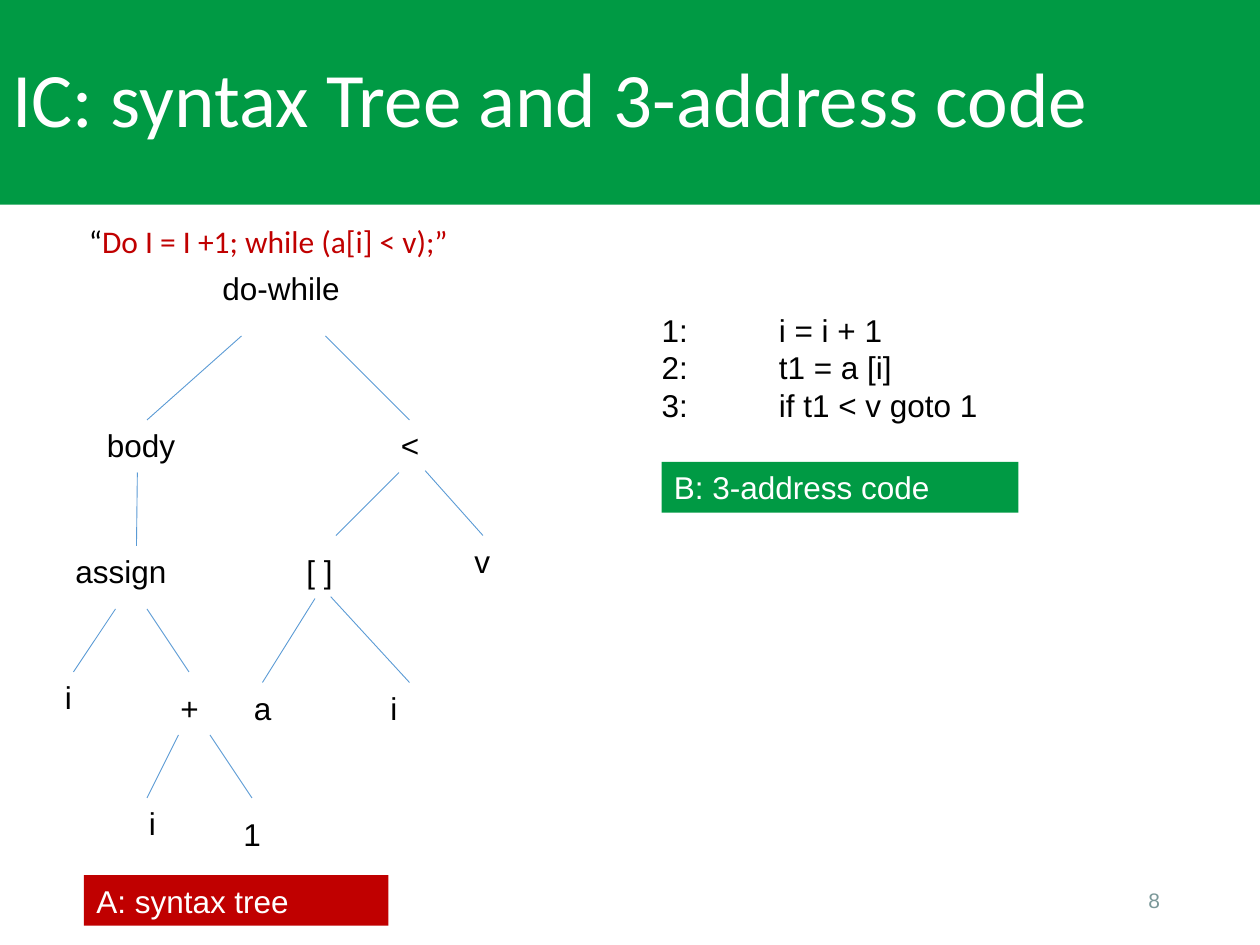
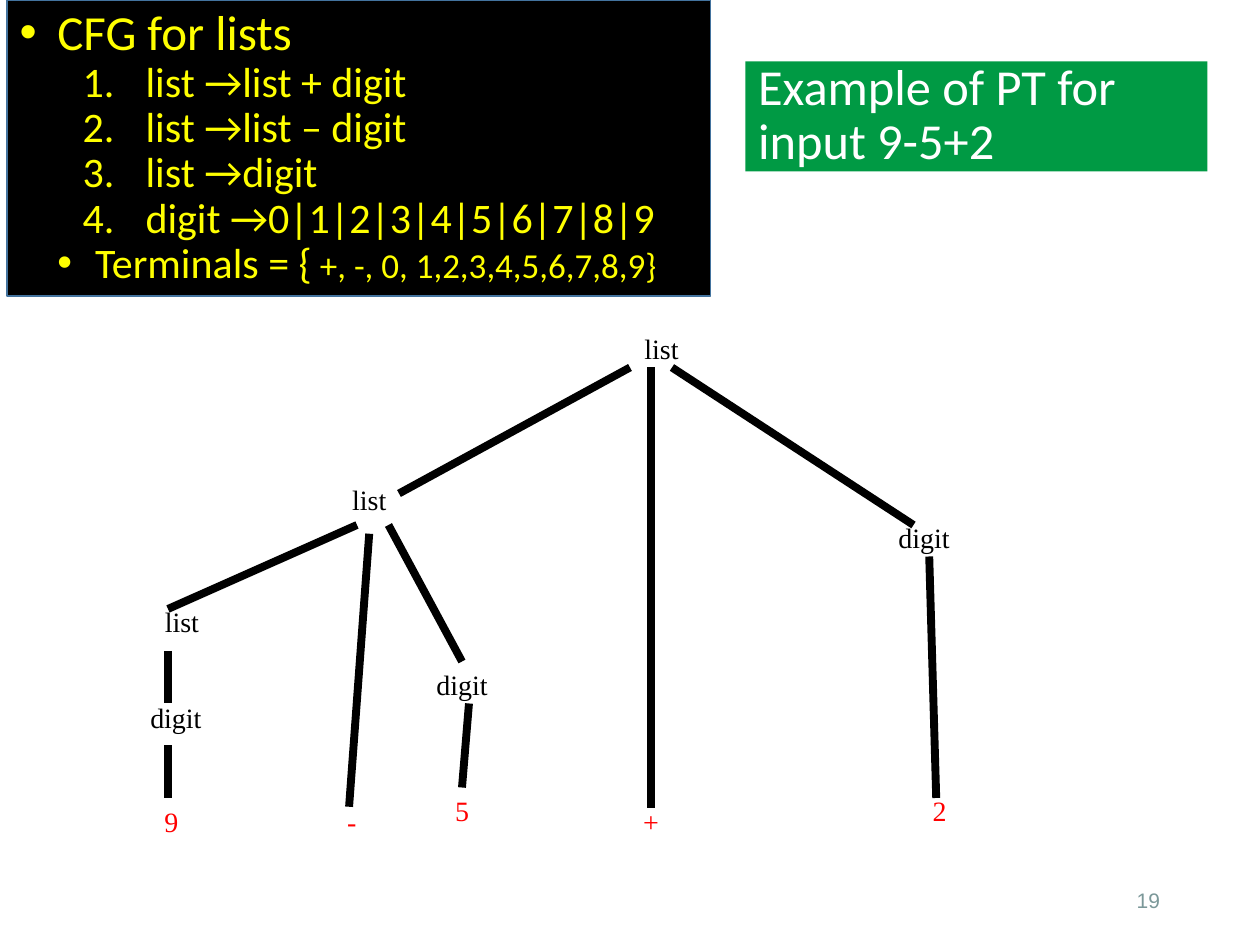
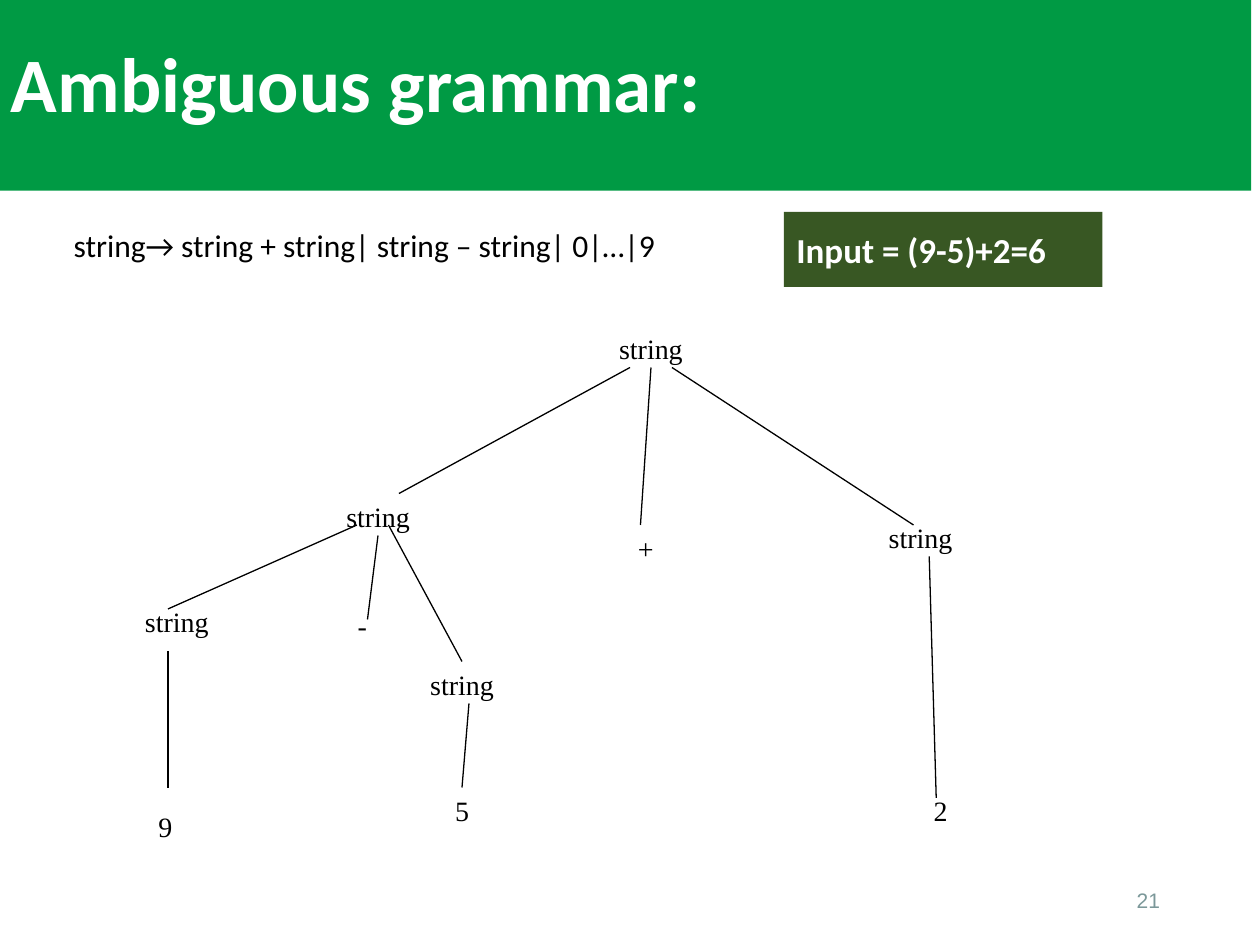
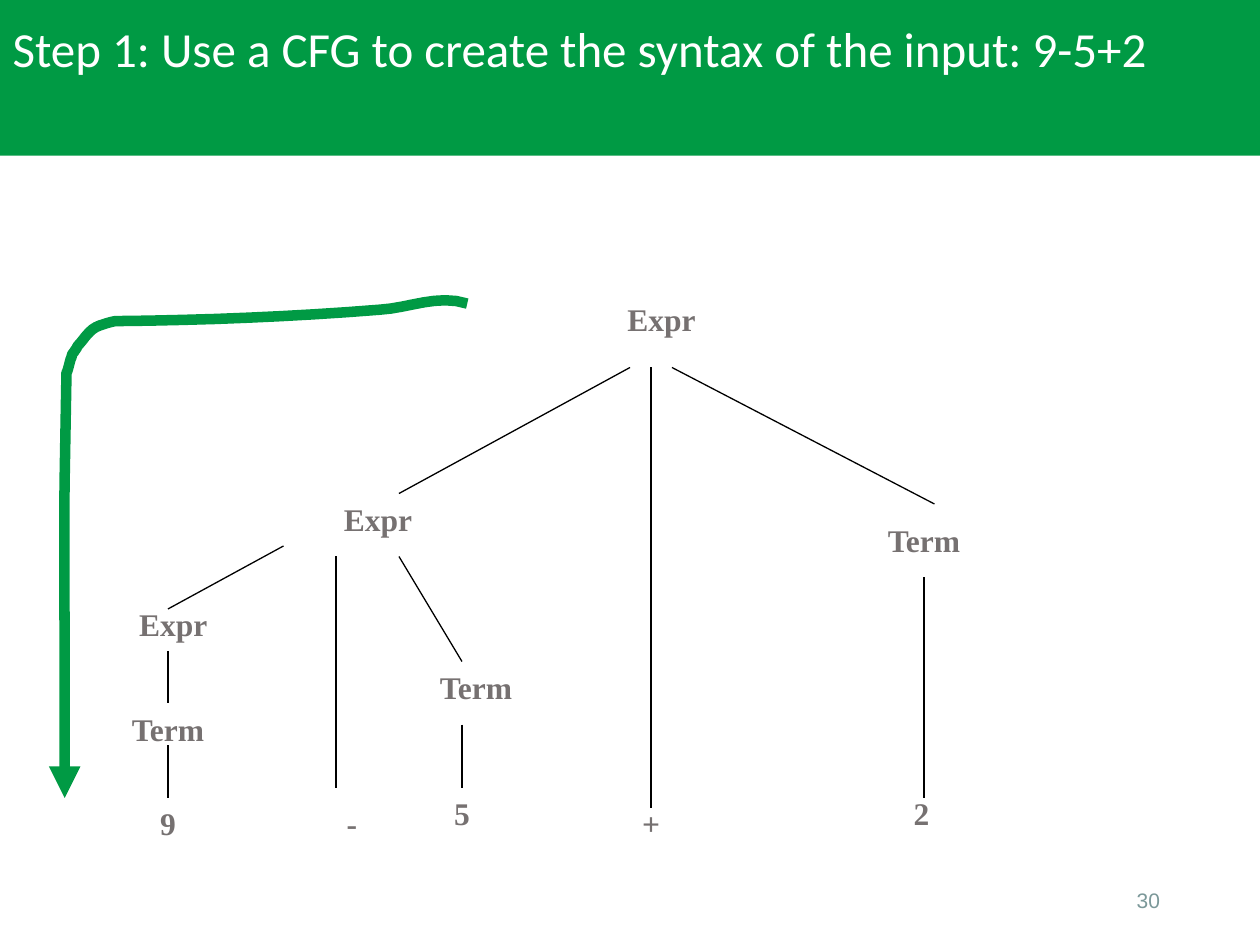
from lxml.etree import SubElement
from pptx import Presentation
from pptx.dml.color import RGBColor
from pptx.enum.shapes import MSO_CONNECTOR, MSO_SHAPE
from pptx.enum.text import MSO_ANCHOR, MSO_AUTO_SIZE, PP_ALIGN
from pptx.oxml.ns import qn
from pptx.util import Pt

# Shared look
GREEN, DARK_GREEN, RED, BRIGHT_RED = "009A44", "385723", "C00000", "FF0000"
BLACK, WHITE, YELLOW = "000000", "FFFFFF", "FFFF00"
BLUE, GREY, FOOTER_GREY = "5B9BD5", "767171", "7B9899"

TITLE = {"name": "Calibri", "size": Pt(44), "color": WHITE}
BODY = {"name": "Calibri", "size": Pt(18), "color": BLACK}
ARIAL = {"name": "Arial", "size": Pt(18), "color": BLACK}
LABEL = {**ARIAL, "color": WHITE}
FOOTER = {**ARIAL, "size": Pt(12), "color": FOOTER_GREY}
SERIF = {"name": "Times New Roman", "size": Pt(16), "color": BLACK}
TERMINAL = {**SERIF, "color": BRIGHT_RED}
SERIF_BOLD = {**SERIF, "size": Pt(18), "color": GREY, "bold": True}

# Tree edges (x1, y1, x2, y2) found on more than one slide
ROOT_LEFT = (360, 210, 228, 282)
ROOT_DOWN = (372, 210, 372, 462)
SUBTREE_EDGES = [
    ROOT_LEFT,
    (384, 210, 522, 300),
    (222, 300, 264, 378),
    (268, 402, 264, 450),
    (204, 300, 96, 348),
    (531, 318, 535, 456),
]
NINE_EDGES = [(96, 372, 96, 402), (96, 426, 96, 456)]


def rgb(color):
    return RGBColor.from_string(color)


def format_run(r, fmt):
    for key, value in fmt.items():
        if key == "color":
            r.font.color.rgb = rgb(value)
        else:
            setattr(r.font, key, value)


def write(tf, paragraphs, fmt, **para_fmt):
    """Each paragraph is a string or a list of (text, format changes)."""
    for i, runs in enumerate(paragraphs):
        p = tf.paragraphs[0] if i == 0 else tf.add_paragraph()
        for key, value in para_fmt.items():
            setattr(p, key, value)
        for text, changes in [(runs, {})] if isinstance(runs, str) else runs:
            r = p.add_run()
            r.text = text
            format_run(r, {**fmt, **changes})


def place(sp, x, y, w, h):
    for key, value in {"left": x, "top": y, "width": w, "height": h}.items():
        setattr(sp, key, Pt(value))


def fill(sp, color):
    sp.fill.solid()
    sp.fill.fore_color.rgb = rgb(color)


def frame(sp, anchor=MSO_ANCHOR.MIDDLE, auto_size=MSO_AUTO_SIZE.NONE):
    tf = sp.text_frame
    tf.word_wrap, tf.vertical_anchor, tf.auto_size = True, anchor, auto_size
    return tf


# Kinds of element
def add_title(s, text, box, **changes):
    sp = s.shapes.title
    place(sp, *box)
    fill(sp, GREEN)
    tf = frame(sp)
    write(tf, [text], {**TITLE, **changes},
          alignment=PP_ALIGN.LEFT, line_spacing=0.9)
    return tf


def add_text(s, paragraphs, box, fmt, align=PP_ALIGN.LEFT, anchor=MSO_ANCHOR.MIDDLE):
    sp = s.shapes.add_textbox(*map(Pt, box))
    tf = frame(sp, anchor)
    write(tf, paragraphs, fmt, alignment=align)
    return sp


def add_label(s, text, box, color, fmt=LABEL):
    sp = s.shapes.add_shape(MSO_SHAPE.RECTANGLE, *map(Pt, box))
    sp.shadow.inherit = False
    fill(sp, color)
    sp.line.fill.background()
    write(frame(sp), [text], fmt, alignment=PP_ALIGN.LEFT)


def add_nodes(s, nodes, fmt, height=27, align=PP_ALIGN.CENTER):
    shapes = []
    for text, x, y, w in nodes:
        sp = add_text(s, [text], (x, y, w, height), fmt, align, MSO_ANCHOR.TOP)
        sp.text_frame.auto_size = MSO_AUTO_SIZE.SHAPE_TO_FIT_TEXT
        shapes.append(sp)
    return shapes


def find_site(nodes, x, y):
    """Return the node and side whose middle lies within a point of (x, y)."""
    for sp in nodes:
        for side, edge in ((0, sp.top), (2, sp.top + sp.height)):
            dx = abs(sp.left + sp.width / 2 - Pt(x))
            if max(dx, abs(edge - Pt(y))) <= Pt(1):
                return sp, side
    return None


def add_edges(s, edges, nodes, color=BLACK, width=0.75):
    for x1, y1, x2, y2 in edges:
        c = s.shapes.add_connector(MSO_CONNECTOR.STRAIGHT, *map(Pt, (x1, y1, x2, y2)))
        c.line.color.rgb = rgb(color)
        c.line.width = Pt(width)
        SubElement(c._element.spPr, qn("a:effectLst"))
        for join, site in ((c.begin_connect, find_site(nodes, x1, y1)),
                           (c.end_connect, find_site(nodes, x2, y2))):
            if site:
                join(*site)


def add_number(s, number):
    add_text(s, [str(number)], (508, 500, 162, 29), FOOTER, PP_ALIGN.RIGHT)


def set_bullet(p, left, hanging, char=None):
    pPr = p._p.get_or_add_pPr()
    pPr.set("marL", str(Pt(left)))
    pPr.set("indent", str(-Pt(hanging)))
    SubElement(pPr, qn("a:buFont"), typeface="Arial" if char else "+mj-lt")
    if char:
        SubElement(pPr, qn("a:buChar"), char=char)
    else:
        SubElement(pPr, qn("a:buAutoNum"), type="arabicPeriod")


def curve_points(start, curves, steps=8):
    """Sample a chain of cubic curves, each two controls and an end."""
    for c1, c2, end in curves:
        for i in range(1, steps + 1):
            t = i / steps
            u = 1 - t
            yield tuple(
                Pt(u**3 * a + 3 * u * u * t * b + 3 * u * t * t * c + t**3 * d)
                for a, b, c, d in zip(start, c1, c2, end)
            )
        start = end


def add_curved_arrow(s, start, curves, color, width):
    builder = s.shapes.build_freeform(*map(Pt, start))
    builder.add_line_segments(list(curve_points(start, curves)), close=False)
    sp = builder.convert_to_shape()
    sp.shadow.inherit = False
    sp.fill.background()
    sp.line.color.rgb = rgb(color)
    sp.line.width = Pt(width)
    SubElement(sp.line._get_or_add_ln(), qn("a:tailEnd"), type="triangle")


# Slides
def syntax_tree_slide(prs):
    s = prs.slides.add_slide(prs.slide_layouts[5])
    add_title(s, "IC: syntax Tree and 3-address code", (0, 0, 720, 117))
    add_number(s, 8)
    add_text(s, [[("“", {}), ("Do I = I +1; while (a[i] < v);”", {"color": RED})]],
             (40, 125, 227, 25), BODY, PP_ALIGN.CENTER)

    nodes = add_nodes(s, [
        ("do-while", 120, 150, 102), ("body", 54, 240, 96), ("<", 222, 240, 42),
        ("assign", 36, 312, 102), ("[ ]", 168, 312, 42), ("v", 264, 306, 42),
        ("i", 30, 384, 42), ("+", 96, 390, 42), ("a", 138, 390, 42),
        ("i", 216, 390, 42), ("i", 78, 456, 18), ("1", 132, 462, 42),
    ], ARIAL, 29, PP_ALIGN.LEFT)
    add_edges(s, [
        (138, 192, 84, 240), (186, 192, 234, 240), (78.5, 270, 78, 312),
        (228, 270, 192, 306), (243, 270, 276, 306), (66, 348, 42, 384),
        (84, 348, 108, 384), (180, 342, 150, 390), (189, 341, 234, 390),
        (102, 420, 84, 456), (120, 420, 144, 456),
    ], nodes, BLUE, 0.5)

    # Three-address code, with a tab stop after the line number
    code = add_text(s, ["1:\ti = i + 1", "2:\tt1 = a [i]", "3:\tif t1 < v goto 1"],
                    (371, 174, 241, 73), ARIAL, anchor=MSO_ANCHOR.TOP)
    for p in code.text_frame.paragraphs:
        tabs = SubElement(p._p.get_or_add_pPr(), qn("a:tabLst"))
        SubElement(tabs, qn("a:tab"), pos=str(Pt(67)), algn="l")

    add_label(s, "A: syntax tree", (48, 500, 174, 29), RED)
    add_label(s, "B: 3-address code", (378, 264, 204, 29), GREEN)


def parse_tree_slide(prs):
    s = prs.slides.add_slide(prs.slide_layouts[1])
    add_title(s, "Example of PT for input 9-5+2", (426, 35, 264, 63), size=Pt(28.8))
    add_number(s, 19)

    # Grammar list
    sp = s.placeholders[1]
    place(sp, 4, 0, 402, 169)
    fill(sp, BLACK)
    sp.line.color.rgb = rgb("43739E")
    sp.line.width = Pt(1)
    tf = frame(sp)
    write(tf, [
        [("CFG for lists", {"size": Pt(28)})],
        "list →list + digit",
        "list →list – digit",
        "list →digit",
        "digit →0|1|2|3|4|5|6|7|8|9",
        [("Terminals = {", {}), (" +, -, 0, 1,2,3,4,5,6,7,8,9}", {"size": Pt(20)})],
    ], {**BODY, "size": Pt(24), "color": YELLOW}, line_spacing=0.9, space_before=Pt(0))
    heading, *rules, terminals = tf.paragraphs
    set_bullet(heading, 21.6, 21.6, "•")
    for p in rules:
        p.level = 1
        set_bullet(p, 72, 36)
    terminals.level = 1
    set_bullet(terminals, 43.2, 21.6, "•")

    # Parse tree
    nodes = add_nodes(s, [
        ("list", 276, 186, 204), ("list", 122, 272, 178), ("digit", 426, 294, 204),
        ("list", 50, 342, 108), ("digit", 216, 378, 96), ("digit", 33, 397, 135),
    ], SERIF)
    nodes += add_nodes(s, [
        ("9", 70, 456, 56), ("-", 144, 456, 114), ("5", 186, 450, 156),
        ("+", 270, 456, 204), ("2", 444, 450, 186),
    ], TERMINAL)
    add_edges(s, SUBTREE_EDGES + NINE_EDGES + [ROOT_DOWN, (211, 305, 199.5, 461)],
              nodes, width=4.5)


def ambiguous_slide(prs):
    s = prs.slides.add_slide(prs.slide_layouts[5])
    add_title(s, "Ambiguous grammar:", (-1, -9, 716, 118), bold=True)
    add_number(s, 21)
    add_text(s, ["string→ string + string| string – string| 0|…|9"],
             (35, 109, 368, 62), BODY)
    add_label(s, "Input = (9-5)+2=6", (448, 121, 182, 43), DARK_GREEN,
              {**TITLE, "size": Pt(20), "bold": True})

    nodes = add_nodes(s, [
        ("string", 318, 186, 108), ("string", 114, 282, 204), ("+", 342, 300, 54),
        ("string", 492, 294, 68), ("string", 71, 342, 60), ("-", 150, 344, 114),
        ("string", 216, 378, 96), ("9", 69, 459, 51), ("5", 186, 450, 156),
        ("2", 509, 450, 57),
    ], SERIF)
    add_edges(s, SUBTREE_EDGES + [
        (372, 210, 366, 300), (216, 306, 210, 354), (96, 372, 96, 450),
    ], nodes)


def step_one_slide(prs):
    s = prs.slides.add_slide(prs.slide_layouts[5])
    tf = add_title(s, "Step 1: Use a CFG to create the syntax of the input: 9-5+2",
                   (0, 0, 720, 89), size=Pt(28))
    tf.margin_bottom = Pt(34)
    add_number(s, 30)

    nodes = add_nodes(s, [
        ("Expr", 276, 168, 204), ("Expr", 114, 282, 204), ("Term", 426, 294, 204),
        ("Expr", 42, 342, 114), ("Term", 242, 378, 60), ("Term", 36, 402, 120),
        ("9", 42, 456, 108), ("-", 144, 456, 114), ("5", 186, 450, 156),
        ("+", 270, 456, 204), ("2", 466, 450, 121),
    ], SERIF_BOLD, 29)
    add_edges(s, NINE_EDGES + [
        ROOT_LEFT, ROOT_DOWN, (384, 210, 534, 288), (162, 312, 96, 348),
        (192, 318, 192, 450), (228, 318, 264, 378), (264, 414, 264, 450),
        (528, 330, 528, 456),
    ], nodes)

    # Traversal direction
    add_curved_arrow(s, (267, 173.5), [
        ((250, 168), (234, 176), (217, 177)),
        ((167, 181), (117, 183), (66, 183.5)),
        ((63, 184), (60, 185), (57, 186)),
        ((51, 188), (48, 194), (45, 197)),
        ((44, 198), (44, 199), (43, 200)),
        ((42, 202), (41, 202), (41, 204)),
        ((40, 205), (39, 212), (38, 213)),
        ((36, 332), (37, 251), (37, 456)),
    ], GREEN, 6)


def main():
    prs = Presentation()
    prs.slide_width, prs.slide_height = Pt(720), Pt(540)
    syntax_tree_slide(prs)
    parse_tree_slide(prs)
    ambiguous_slide(prs)
    step_one_slide(prs)
    prs.save("out.pptx")


if __name__ == "__main__":
    main()
